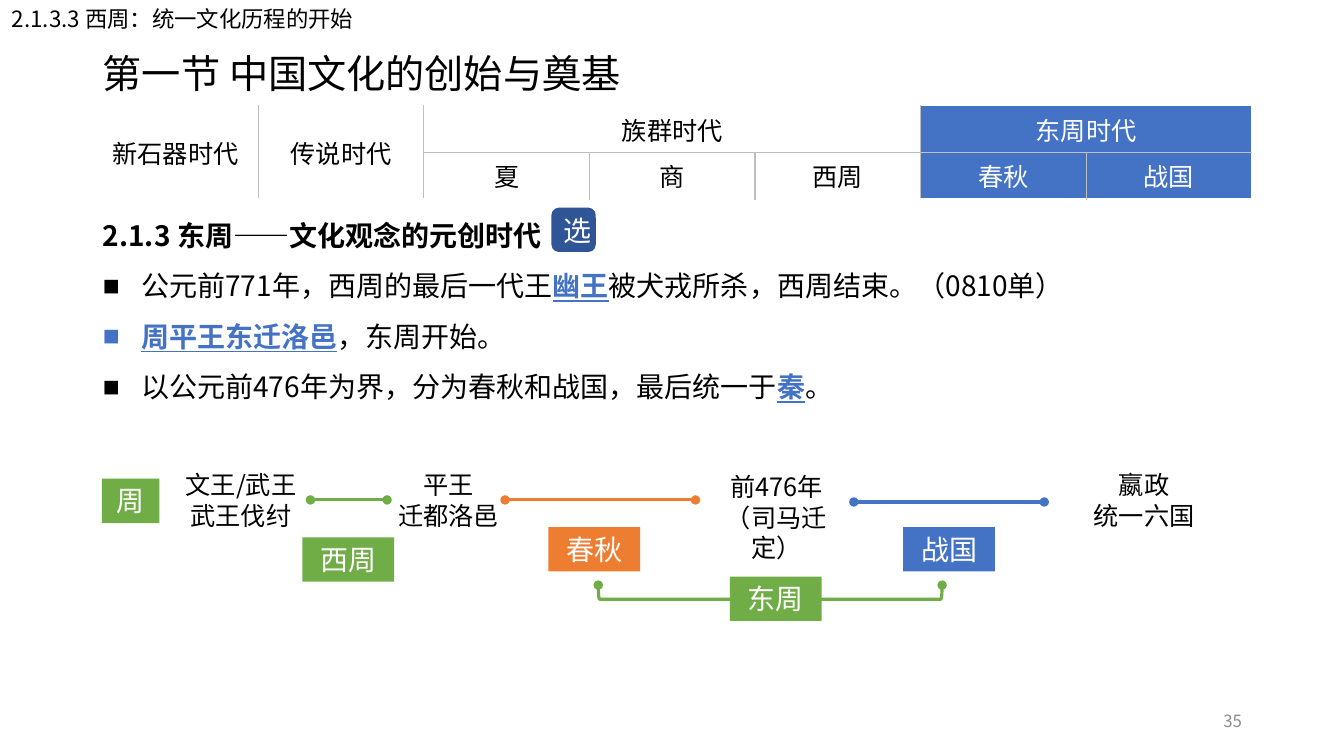
import dataclasses
import pptx
import pptx.util
import pptx.dml.color
import pptx.enum.shapes
import pptx.enum.text
import pptx.oxml
import pptx.oxml.ns

Align = pptx.enum.text.PP_ALIGN
Anchor = pptx.enum.text.MSO_ANCHOR
AutoSize = pptx.enum.text.MSO_AUTO_SIZE
Preset = pptx.enum.shapes.MSO_SHAPE


@dataclasses.dataclass(frozen=True)
class Theme:
    font: str = "Noto Sans CJK SC"
    label_font: str = "Noto Sans CJK JP"
    black: str = "000000"
    white: str = "FFFFFF"
    blue: str = "4472C4"
    navy: str = "2F5597"
    green: str = "70AD47"
    orange: str = "ED7D31"
    rule: str = "BFBFBF"
    muted: str = "8C8C8C"
    title: int = 28
    body: int = 20
    label: int = 18
    header: int = 16
    number: int = 12
    stroke: float = 2.25


THEME = Theme()
WIDTH = pptx.util.Inches(13.33)
HEIGHT = pptx.util.Inches(7.5)
BODY_LEFT, BODY_WIDTH = 6.9, 86.25
TAG_WIDTH, TAG_HEIGHT = 6.83, 5.87

ERAS = [
    ["新石器时代", "传说时代"] + ["族群时代"] * 3 + ["东周时代"] * 2,
    ["新石器时代", "传说时代", "夏", "商", "西周", "春秋", "战国"],
]
CURRENT_ERAS = {"东周时代", "春秋", "战国"}
HEADING = "2.1.3 东周——文化观念的元创时代"
POINTS = [
    [("公元前771年，西周的最后一代王", False), ("幽王", True),
     ("被犬戎所杀，西周结束。（0810单）", False)],
    [("周平王东迁洛邑", True), ("，东周开始。", False)],
    [("以公元前476年为界，分为春秋和战国，最后统一于", False), ("秦", True), ("。", False)],
]
EVENTS = [
    (12.68, 61.47, 10.5, "文王/武王\n武王伐纣"),
    (28.13, 61.47, 10.5, "平王\n迁都洛邑"),
    (51.98, 61.73, 11.55, "前476年\n（司马迁定）"),
    (79.88, 61.47, 10.5, "嬴政\n统一六国"),
]
PERIODS = [
    (23.1, 28.8, 66.13, THEME.green),
    (37.58, 51.75, 66.13, THEME.orange),
    (63.53, 77.7, 66.4, THEME.blue),
]
TAGS = [
    (7.58, 63.33, 4.28, "周", THEME.green),
    (40.8, 69.73, TAG_WIDTH, "春秋", THEME.orange),
    (67.2, 69.73, TAG_WIDTH, "战国", THEME.blue),
    (22.5, 71.07, TAG_WIDTH, "西周", THEME.green),
    (54.3, 76.27, TAG_WIDTH, "东周", THEME.green),
]


def across(share):
    return round(WIDTH * share / 100)


def down(share):
    return round(HEIGHT * share / 100)


def area(left, top, width, height):
    return across(left), down(top), across(width), down(height)


def place(shape, *shares):
    shape.left, shape.top, shape.width, shape.height = area(*shares)


def rgb(color):
    return pptx.dml.color.RGBColor.from_string(color)


def add_element(parent, tag, **attributes):
    element = pptx.oxml.parse_xml(f"<a:{tag} {pptx.oxml.ns.nsdecls('a')}/>")
    for name, value in attributes.items():
        element.set(name, str(value))
    parent.append(element)
    return element


def format_run(run, size, color, font=THEME.font, bold=False, underline=False):
    run.font.size = pptx.util.Pt(size)
    run.font.bold = bold
    run.font.underline = underline
    run.font.color.rgb = rgb(color)
    run.font.name = font
    add_element(run.font._element, "ea", typeface=font)


def write(text_frame, text, size, color, align=Align.CENTER, font=THEME.font):
    text_frame.text = text
    for paragraph in text_frame.paragraphs:
        paragraph.alignment = align
        for run in paragraph.runs:
            format_run(run, size, color, font)


def add_text(slide, shares, text, size, color, align, font=THEME.font, wrap=True):
    text_frame = slide.shapes.add_textbox(*area(*shares)).text_frame
    text_frame.word_wrap = wrap
    text_frame.auto_size = AutoSize.SHAPE_TO_FIT_TEXT
    write(text_frame, text, size, color, align, font)
    return text_frame


def add_block(slide, preset, shares, text, color, anchor):
    shape = slide.shapes.add_shape(preset, *area(*shares))
    shape.shadow.inherit = False
    shape.fill.solid()
    shape.fill.fore_color.rgb = rgb(color)
    shape.line.fill.background()
    shape.text_frame.vertical_anchor = anchor
    write(shape.text_frame, text, THEME.body, THEME.white)


def style_dotted_line(shape, color):
    shape.line.color.rgb = rgb(color)
    shape.line.width = pptx.util.Pt(THEME.stroke)
    outline = shape.line._get_or_add_ln()
    add_element(outline, "headEnd", type="oval")
    add_element(outline, "tailEnd", type="oval")


def add_period(slide, start, end, top, color):
    connector = slide.shapes.add_connector(
        pptx.enum.shapes.MSO_CONNECTOR.STRAIGHT,
        across(start), down(top), across(end), down(top))
    style_dotted_line(connector, color)
    add_element(connector._element.spPr, "effectLst")


def add_bracket(slide, shares, color):
    bracket = slide.shapes.add_shape(Preset.RIGHT_BRACKET, *area(*shares))
    bracket.rotation = 90
    bracket.shadow.inherit = False
    bracket.fill.background()
    style_dotted_line(bracket, color)


def era_at(row, column):
    inside = 0 <= row < len(ERAS) and 0 <= column < len(ERAS[0])
    return ERAS[row][column] if inside else None


def set_borders(cell, row, column):
    properties = cell._tc.get_or_add_tcPr()
    sides = [("lnL", 0, -1), ("lnR", 0, 1), ("lnT", -1, 0), ("lnB", 1, 0)]
    for tag, row_step, column_step in sides:
        neighbour = era_at(row + row_step, column + column_step)
        divided = neighbour not in (None, era_at(row, column))
        border = add_element(properties, tag, w=pptx.util.Pt(1))
        fill = add_element(border, "solidFill")
        add_element(fill, "srgbClr", val=THEME.rule if divided else THEME.white)


def add_era_table(slide, shares):
    rows, columns = len(ERAS), len(ERAS[0])
    table = slide.shapes.add_table(rows, columns, *area(*shares)).table
    table.first_row = table.horz_banding = False
    spans = {}
    for row in range(rows):
        for column in range(columns):
            era, cell = era_at(row, column), table.cell(row, column)
            spans.setdefault(era, []).append(cell)
            set_borders(cell, row, column)
            if era in CURRENT_ERAS:
                cell.fill.solid()
                cell.fill.fore_color.rgb = rgb(THEME.blue)
            else:
                cell.fill.background()
    for era, cells in spans.items():
        if len(cells) > 1:
            cells[0].merge(cells[-1])
        cells[0].vertical_anchor = Anchor.MIDDLE
        color = THEME.white if era in CURRENT_ERAS else THEME.black
        write(cells[0].text_frame, era, THEME.label, color)


def set_bullet(paragraph, symbol=None):
    properties = paragraph._p.get_or_add_pPr()
    indent = across(2.85) if symbol else 0
    properties.set("marL", str(indent))
    properties.set("indent", str(-indent))
    if symbol:
        add_element(properties, "buChar", char=symbol)
    else:
        add_element(properties, "buNone")


def fill_body(body):
    text_frame = body.text_frame
    text_frame.auto_size = AutoSize.TEXT_TO_FIT_SHAPE
    text_frame.text = HEADING
    heading = text_frame.paragraphs[0]
    set_bullet(heading)
    format_run(heading.runs[0], THEME.body, THEME.black, bold=True)
    for point in POINTS:
        paragraph = text_frame.add_paragraph()
        set_bullet(paragraph, "■")
        for text, key in point:
            run = paragraph.add_run()
            run.text = text
            format_run(run, THEME.body, THEME.blue if key else THEME.black,
                       bold=key, underline=key)
    for paragraph in text_frame.paragraphs:
        paragraph.line_spacing = 1.5
        paragraph.space_before = pptx.util.Pt(0)


def main():
    presentation = pptx.Presentation()
    presentation.slide_width, presentation.slide_height = WIDTH, HEIGHT
    slide = presentation.slides.add_slide(presentation.slide_layouts[1])
    title, body = slide.placeholders
    place(title, BODY_LEFT, 5.33, BODY_WIDTH, 9.47)
    title.text_frame.vertical_anchor = Anchor.MIDDLE
    write(title.text_frame, "第一节 中国文化的创始与奠基", THEME.title, THEME.black, Align.LEFT)
    title.text_frame.paragraphs[0].line_spacing = 0.9
    place(body, BODY_LEFT, 26, BODY_WIDTH, 32.67)
    fill_body(body)
    number = add_text(slide, (70.65, 92.67, 22.5, 5.33), "35", THEME.number, THEME.muted, Align.RIGHT)
    number.auto_size = AutoSize.NONE
    number.vertical_anchor = Anchor.MIDDLE
    add_era_table(slide, (BODY_LEFT, 14, BODY_WIDTH, 10.67))
    for left, top, width, text in EVENTS:
        add_text(slide, (left, top, width, 9.47), text, THEME.label, THEME.black,
                 Align.CENTER, THEME.label_font)
    for period in PERIODS:
        add_period(slide, *period)
    add_bracket(slide, (56.78, 55.6, 1.05, 45.47), THEME.green)
    for left, top, width, text, color in TAGS:
        add_block(slide, Preset.RECTANGLE, (left, top, width, TAG_HEIGHT), text, color, Anchor.TOP)
    add_block(slide, Preset.ROUNDED_RECTANGLE, (41.03, 27.47, 3.3, TAG_HEIGHT), "选",
              THEME.navy, Anchor.MIDDLE)
    add_text(slide, (0.15, 0, 27.3, 4.93), "2.1.3.3 西周：统一文化历程的开始",
             THEME.header, THEME.black, Align.LEFT, wrap=False)
    presentation.save("out.pptx")


if __name__ == "__main__":
    main()
